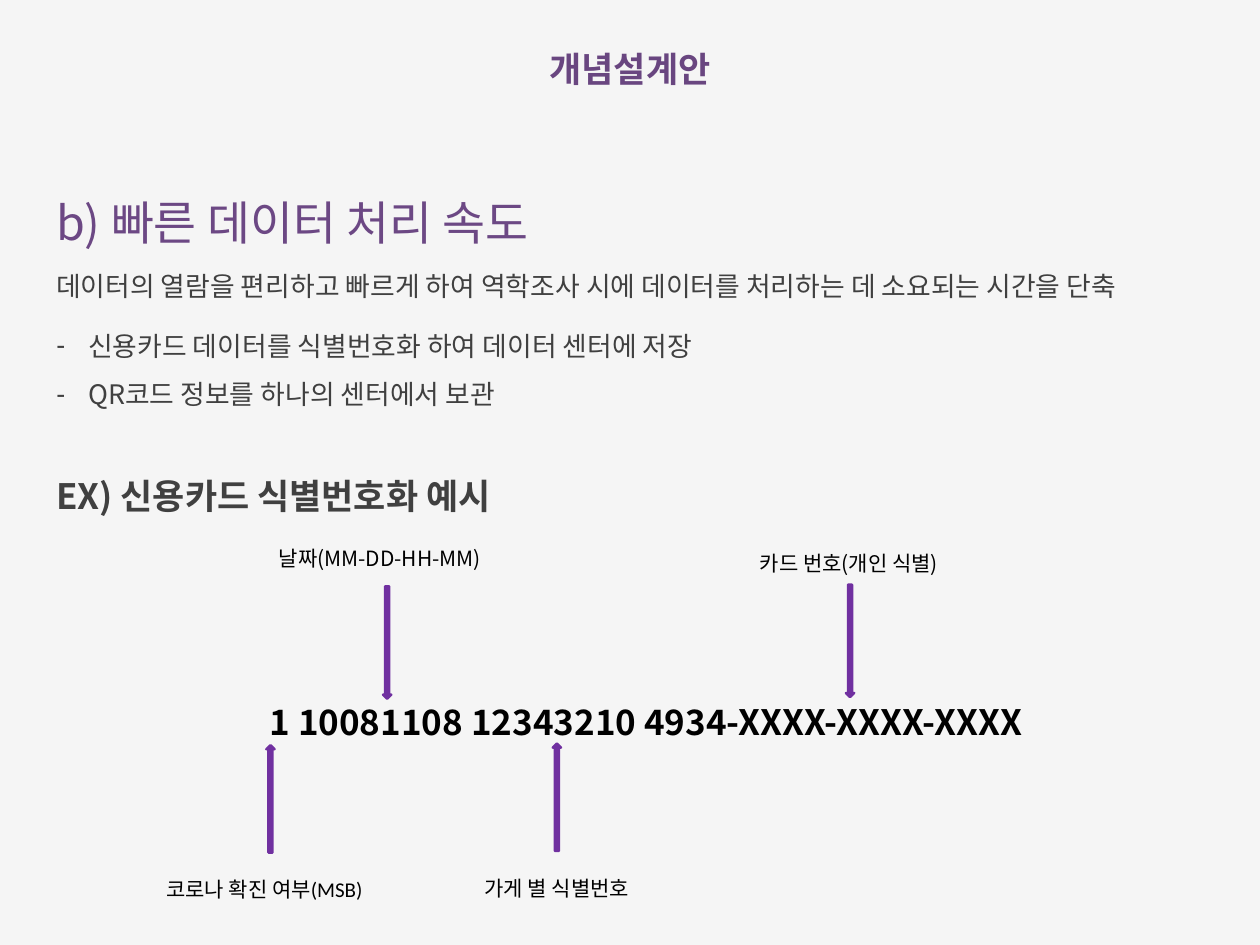
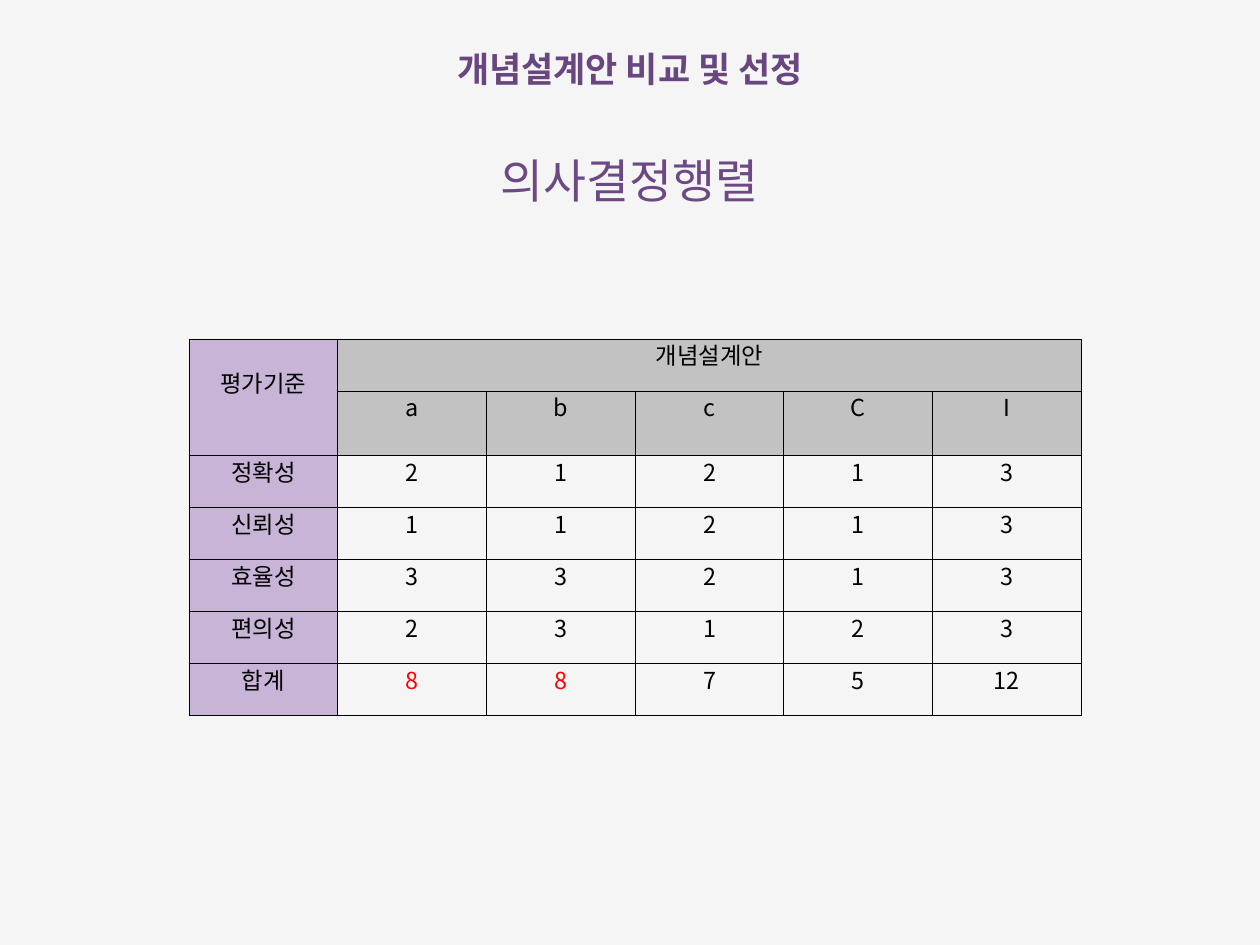
from dataclasses import dataclass

from lxml import etree
from pptx import Presentation
from pptx.dml.color import RGBColor
from pptx.enum.shapes import MSO_SHAPE
from pptx.enum.text import MSO_ANCHOR, MSO_AUTO_SIZE, PP_ALIGN
from pptx.oxml.ns import qn
from pptx.util import Inches, Pt

LEFT, CENTER = PP_ALIGN.LEFT, PP_ALIGN.CENTER
TOP, NO_FIT = MSO_ANCHOR.TOP, MSO_AUTO_SIZE.NONE
UP, DOWN = MSO_SHAPE.UP_ARROW, MSO_SHAPE.DOWN_ARROW
TITLE_AND_BODY, TITLE_ONLY = 1, 5

# The slide is a grid of square cells.
COLUMNS, ROWS = 60, 45
CELL = 0.25


@dataclass(frozen=True)
class Theme:
    font: str = "Noto Sans CJK KR"
    latin_font: str = "Calibri"
    background: str = "F5F5F5"
    title: str = "694680"
    heading: str = "6C4884"
    body: str = "404040"
    ink: str = "000000"
    arrow: str = "7030A0"
    criterion_fill: str = "C8B4D6"
    header_fill: str = "C2C2C2"
    highlight: str = "FF0000"
    title_size: int = 30
    heading_size: int = 40
    body_size: int = 23
    label_size: int = 18
    table_size: int = 20


THEME = Theme()


def grid(cells):
    return Inches(cells * CELL)


def rgb(value):
    return RGBColor.from_string(value)


def write(paragraph, text, size, color, bold=False, align=LEFT, spacing=None,
          font=THEME.font):
    """Add one formatted run; East Asian letters always take the theme font."""
    paragraph.alignment = align
    paragraph.space_before = Pt(0)
    if spacing:
        paragraph.line_spacing = spacing
    run = paragraph.add_run()
    run.text = text
    run.font.name = font
    run.font.size = Pt(size)
    run.font.bold = bold
    run.font.color.rgb = rgb(color)
    latin = run.font._element.find(qn("a:latin"))
    east_asian = etree.Element(qn("a:ea"), typeface=THEME.font)
    latin.addnext(east_asian)


def place(shape, box):
    shape.left, shape.top, shape.width, shape.height = map(grid, box)
    frame = shape.text_frame
    frame.auto_size = NO_FIT
    frame.vertical_anchor = TOP
    frame.word_wrap = True
    return frame


def add_text(shapes, box, text, size, color, **style):
    textbox = shapes.add_textbox(*map(grid, box))
    write(place(textbox, box).paragraphs[0], text, size, color, **style)


def add_titled_slide(prs, layout, title, width):
    slide = prs.slides.add_slide(prs.slide_layouts[layout])
    frame = place(slide.shapes.title, ((COLUMNS - width) / 2, 2.08, width, 2.44))
    frame.word_wrap = False
    write(frame.paragraphs[0], title, THEME.title_size, THEME.title,
          bold=True, align=CENTER)
    return slide


def add_heading(slide, box, text, align=LEFT):
    add_text(slide.shapes, box, text, THEME.heading_size, THEME.heading,
             align=align, spacing=1.2)


def fill_dash_list(body, box, items):
    frame = place(body, box)
    for index, item in enumerate(items):
        paragraph = frame.add_paragraph() if index else frame.paragraphs[0]
        write(paragraph, item, THEME.body_size, THEME.body, spacing=1.5)
        properties = paragraph._p.get_or_add_pPr()
        indent = Inches(0.38)
        properties.set("marL", str(indent))
        properties.set("indent", str(-indent))
        etree.SubElement(properties, qn("a:buChar"), char="-")


def add_arrow(shapes, direction, box):
    arrow = shapes.add_shape(direction, *map(grid, box))
    arrow.shadow.inherit = False
    arrow.fill.solid()
    arrow.fill.fore_color.rgb = rgb(THEME.arrow)
    arrow.line.color.rgb = rgb(THEME.arrow)
    arrow.line.width = Pt(2)


def add_code_diagram(slide, left, top):
    """Draw the identification code with an arrow and a label for each part."""
    shapes = slide.shapes.add_group_shape().shapes
    add_text(shapes, (left + 4.92, top + 7.36, 42.24, 2.44),
             "1 10081108 12343210 4934-XXXX-XXXX-XXXX",
             THEME.title_size, THEME.ink, bold=True)

    # label, its x, y and width, alignment, font, arrow direction, arrow x and y
    parts = [
        ("코로나 확진 여부(MSB)", 0, 15.76, 10.72, LEFT, THEME.latin_font, UP, 5.16, 9.68),
        ("날짜(MM-DD-HH-MM)", 5.36, 0, 11.28, LEFT, THEME.font, DOWN, 10.72, 2.12),
        ("가게 별 식별번호", 12.2, 15.68, 13.6, CENTER, THEME.font, UP, 18.8, 9.6),
        ("카드 번호(개인 식별)", 25.84, 0.2, 14.12, CENTER, THEME.font, DOWN, 32.76, 2.04),
    ]
    arrow_length = {UP: 5.12, DOWN: 5.36}
    for label, x, y, width, align, font, direction, arrow_x, arrow_y in parts:
        add_text(shapes, (left + x, top + y, width, 1.6), label,
                 THEME.label_size, THEME.ink, align=align, font=font)
        add_arrow(shapes, direction,
                  (left + arrow_x, top + arrow_y, 0.4, arrow_length[direction]))


def format_cell(cell, text, fill=None, color=THEME.ink):
    if fill:
        cell.fill.solid()
        cell.fill.fore_color.rgb = rgb(fill)
    else:
        cell.fill.background()
    properties = cell._tc.get_or_add_tcPr()
    for index, side in enumerate(("lnL", "lnR", "lnT", "lnB")):
        border = etree.Element(qn(f"a:{side}"), w=str(Pt(1)))
        solid = etree.SubElement(border, qn("a:solidFill"))
        etree.SubElement(solid, qn("a:srgbClr"), val=THEME.ink)
        properties.insert(index, border)
    if text:
        write(cell.text_frame.paragraphs[0], text, THEME.table_size, color,
              align=CENTER, spacing=Pt(24))


def add_decision_matrix(slide, left, top, width):
    concepts = ["a", "b", "c", "C", "I"]
    scores = {
        "정확성": [2, 1, 2, 1, 3],
        "신뢰성": [1, 1, 2, 1, 3],
        "효율성": [3, 3, 2, 1, 3],
        "편의성": [2, 3, 1, 2, 3],
    }
    totals = [sum(column) for column in zip(*scores.values())]
    selected = {"a", "b"}
    rows = [["평가기준", "개념설계안"] + [""] * (len(concepts) - 1),
            [""] + concepts]
    rows += [[name, *values] for name, values in scores.items()]
    rows.append(["합계", *totals])

    row_height, concept_row_height = 2.48, 3.04
    height = row_height * (len(rows) - 1) + concept_row_height
    table = slide.shapes.add_table(len(rows), len(concepts) + 1,
                                   *map(grid, (left, top, width, height))).table
    table.first_row = table.horz_banding = False
    for column in table.columns:
        column.width = grid(width / len(table.columns))
    for r, values in enumerate(rows):
        table.rows[r].height = grid(concept_row_height if r == 1 else row_height)
        for c, value in enumerate(values):
            fill = (THEME.criterion_fill if c == 0
                    else THEME.header_fill if r < 2 else None)
            chosen = r == len(rows) - 1 and c and concepts[c - 1] in selected
            format_cell(table.cell(r, c), str(value), fill,
                        THEME.highlight if chosen else THEME.ink)

    criteria_header = table.cell(0, 0)
    criteria_header.merge(table.cell(1, 0))
    criteria_header.margin_top = Inches(0.38)
    table.cell(0, 1).merge(table.cell(0, len(concepts)))


def build_concept_slide(prs):
    slide = add_titled_slide(prs, TITLE_AND_BODY, "개념설계안", 8.72)
    margin, text_width = 2.28, 55.48
    add_heading(slide, (margin, 8.52, text_width, 3.36), "b) 빠른 데이터 처리 속도")
    add_text(slide.shapes, (margin, 12.64, text_width, 1.96),
             "데이터의 열람을 편리하고 빠르게 하여 역학조사 시에 데이터를 처리하는 데 소요되는 시간을 단축",
             THEME.body_size, THEME.body)
    fill_dash_list(slide.placeholders[1], (margin, 14.72, 47.08, 4.76),
                   ["신용카드 데이터를 식별번호화 하여 데이터 센터에 저장",
                    "QR코드 정보를 하나의 센터에서 보관"])
    add_text(slide.shapes, (margin, 22.4, 26.8, 2.44), "EX) 신용카드 식별번호화 예시",
             THEME.title_size, THEME.body, bold=True)
    add_code_diagram(slide, left=7.52, top=25.8)


def build_comparison_slide(prs):
    slide = add_titled_slide(prs, TITLE_ONLY, "개념설계안 비교 및 선정", 18.08)
    add_heading(slide, (8.48, 6.52, 43, 3.36), "의사결정행렬", align=CENTER)
    add_decision_matrix(slide, left=9, top=16.16, width=42.5)


def main():
    prs = Presentation()
    prs.slide_width, prs.slide_height = grid(COLUMNS), grid(ROWS)
    background = prs.slide_master.background.fill
    background.solid()
    background.fore_color.rgb = rgb(THEME.background)
    build_concept_slide(prs)
    build_comparison_slide(prs)
    prs.save("out.pptx")


if __name__ == "__main__":
    main()
